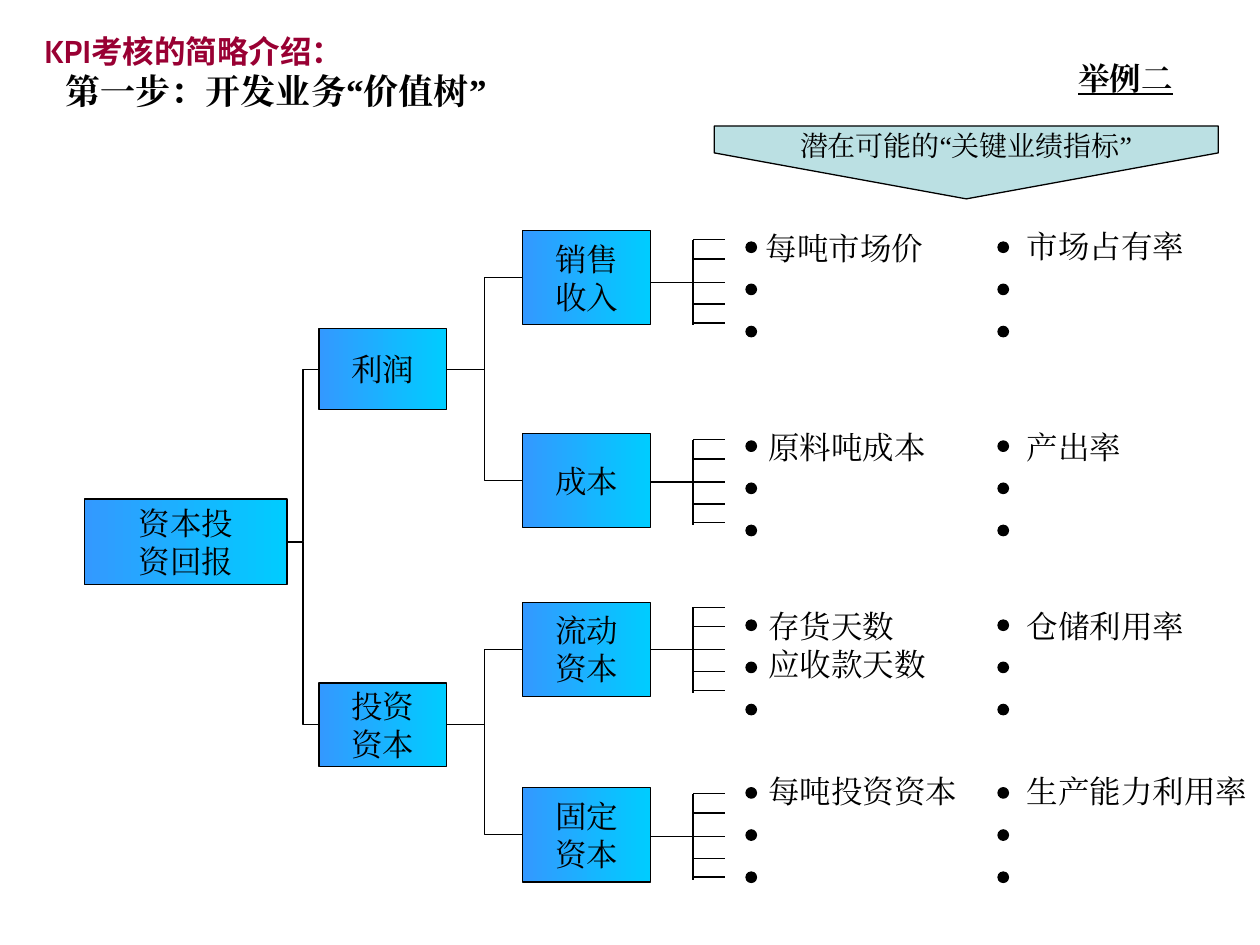
from dataclasses import dataclass

from lxml.etree import SubElement
from pptx import Presentation
from pptx.dml.color import RGBColor
from pptx.enum.shapes import MSO_CONNECTOR as Link, MSO_SHAPE as Form
from pptx.enum.text import MSO_ANCHOR as Anchor, MSO_AUTO_SIZE as Fit, PP_ALIGN as Align
from pptx.oxml.ns import qn
from pptx.util import Cm, Pt

COLORS = {"ink": "000000", "heading": "990033", "banner": "BBE0E3",
          "node_left": "3399FF", "node_right": "00CCFF"}
SERIF = "Times New Roman"
NODE_FRAME = {"word_wrap": False, "vertical_anchor": Anchor.MIDDLE}
LABEL_FRAME = {"word_wrap": False, "auto_size": Fit.SHAPE_TO_FIT_TEXT}
TITLE_FRAME = {"word_wrap": True, "auto_size": Fit.SHAPE_TO_FIT_TEXT,
               "vertical_anchor": Anchor.TOP}
TEETH = (0, 0.39, 0.86, 1.3, 1.68)
STEM_X, STEM_HEIGHT = 13.97, 1.73
DOT_COLUMNS = (15.04, 20.12)
DOT_STEP, DOT_SIZE = 0.85, 0.21


@dataclass
class Node:
    lines: tuple[str, ...]
    left: float
    top: float
    width: float
    height: float


@dataclass
class Measure:
    lines: tuple[str, ...]
    left: float
    top: float


@dataclass
class Branch:
    node: Node
    comb_top: float
    dot_top: float
    measures: tuple[Measure, ...]


def leaf(top: float, *lines: str) -> Node:
    return Node(lines, 10.54, top, 2.57, 1.9)


ROOT = Node(("资本投", "资回报"), 1.7, 10.06, 4.09, 1.73)
PROFIT = Node(("利润",), 6.43, 6.63, 2.57, 1.63)
CAPITAL = Node(("投资", "资本"), 6.43, 13.77, 2.57, 1.68)
PROFIT_BRANCHES = (
    Branch(leaf(4.65, "销售", "收入"), 4.83, 4.88,
           (Measure(("每吨市场价",), 15.19, 4.5), Measure(("市场占有率",), 20.45, 4.45))),
    Branch(leaf(8.74, "成本"), 8.86, 8.89,
           (Measure(("原料吨成本",), 15.24, 8.51), Measure(("产出率",), 20.45, 8.51))),
)
CAPITAL_BRANCHES = (
    Branch(leaf(12.14, "流动", "资本"), 12.24, 12.5,
           (Measure(("存货天数", "应收款天数"), 15.24, 12.12),
            Measure(("仓储利用率",), 20.45, 12.12))),
    Branch(leaf(15.88, "固定", "资本"), 16, 15.88,
           (Measure(("每吨投资资本",), 15.24, 15.44),
            Measure(("生产能力利用率",), 20.45, 15.44))),
)


def rgb(color: str) -> RGBColor:
    return RGBColor.from_string(COLORS[color])


def apply(target, values: dict) -> None:
    for attribute, value in values.items():
        setattr(target, attribute, value)


def add_run(paragraph, text: str, size: float = 18, face: str = SERIF,
            color: str = "ink", **extras) -> None:
    run = paragraph.add_run()
    run.text = text
    apply(run.font, {"size": Pt(size), "name": face, **extras})
    run.font.color.rgb = rgb(color)
    SubElement(run.font._element, qn("a:ea"), typeface=face)


def write(frame, lines: tuple[str, ...], layout: dict, align=Align.LEFT, **font) -> None:
    apply(frame, layout)
    for index, line in enumerate(lines):
        paragraph = frame.add_paragraph() if index else frame.paragraphs[0]
        paragraph.alignment = align
        add_run(paragraph, line, **font)


def outline(line) -> None:
    line.color.rgb = rgb("ink")
    line.width = Pt(0.75)


def add_form(shapes, form, left: float, top: float, width: float, height: float):
    shape = shapes.add_shape(form, Cm(left), Cm(top), Cm(width), Cm(height))
    shape.shadow.inherit = False
    outline(shape.line)
    return shape


def add_solid(shapes, form, color: str, *box: float):
    shape = add_form(shapes, form, *box)
    shape.fill.solid()
    shape.fill.fore_color.rgb = rgb(color)
    return shape


def add_label(shapes, lines: tuple[str, ...], *box: float, **font) -> None:
    label = shapes.add_textbox(*map(Cm, box))
    write(label.text_frame, lines, LABEL_FRAME, **font)


def add_node(shapes, node: Node):
    shape = add_form(shapes, Form.RECTANGLE, node.left, node.top, node.width, node.height)
    shape.fill.gradient()
    shape.fill.gradient_angle = 0
    for stop, color in zip(shape.fill.gradient_stops, ("node_left", "node_right")):
        stop.color.rgb = rgb(color)
    write(shape.text_frame, node.lines, NODE_FRAME, Align.CENTER)
    return shape


def add_line(shapes, kind, *ends: float):
    line = shapes.add_connector(kind, *map(Cm, ends))
    outline(line.line)
    SubElement(line._element.spPr, qn("a:effectLst"))
    return line


def join(shapes, parent, child) -> None:
    elbow = add_line(shapes, Link.ELBOW, 0, 0, 0, 0)
    elbow.begin_connect(parent, 3)
    elbow.end_connect(child, 1)


def add_comb(shapes, top: float) -> None:
    comb = shapes.add_group_shape().shapes
    middle = top + TEETH[2]
    add_line(comb, Link.STRAIGHT, 13.13, middle, STEM_X, middle)
    add_line(comb, Link.STRAIGHT, STEM_X, top, STEM_X, top + STEM_HEIGHT)
    for offset in TEETH:
        add_line(comb, Link.STRAIGHT, STEM_X, top + offset, 14.61, top + offset)


def add_branch(shapes, parent, branch: Branch) -> None:
    join(shapes, parent, add_node(shapes, branch.node))
    add_comb(shapes, branch.comb_top)
    for column in DOT_COLUMNS:
        for row in range(3):
            add_solid(shapes, Form.OVAL, "ink", column, branch.dot_top + row * DOT_STEP,
                      DOT_SIZE, DOT_SIZE)
    for measure in branch.measures:
        width = max(map(len, measure.lines)) * 0.635 + 0.51
        height = len(measure.lines) * 0.76 + 0.25
        add_label(shapes, measure.lines, measure.left, measure.top, width, height)


def add_headings(shapes) -> None:
    apply(shapes.title, {"left": Cm(1.07), "top": Cm(1.27),
                         "width": Cm(12.27), "height": Cm(1.12)})
    write(shapes.title.text_frame, ("第一步：开发业务“价值树”",), TITLE_FRAME,
          size=20, bold=True)
    topic = shapes.add_textbox(Cm(0.64), Cm(0.53), Cm(6.81), Cm(1.02)).text_frame
    apply(topic, LABEL_FRAME)
    for text, face in (("KPI", "Cabin"), ("考核的简略介绍：", "Noto Sans CJK SC")):
        add_run(topic.paragraphs[0], text, face=face, color="heading", bold=True)
    add_label(shapes, ("举例二",), 21.49, 1.07, 2.41, 1.02, bold=True, underline=True)
    banner = add_solid(shapes, Form.DOWN_ARROW, "banner", 14.4, 2.54, 10.16, 1.47)
    banner.adjustments[0] = 1
    banner.adjustments[1] = 0.63
    add_label(shapes, ("潜在可能的“关键业绩指标”",), 15.88, 2.46, 7.82, 0.94, size=16)


def main() -> None:
    deck = Presentation()
    apply(deck, {"slide_width": Cm(25.4), "slide_height": Cm(19.05)})
    shapes = deck.slides.add_slide(deck.slide_layouts[5]).shapes
    add_headings(shapes)
    root = add_node(shapes, ROOT)
    for driver, branches in ((PROFIT, PROFIT_BRANCHES), (CAPITAL, CAPITAL_BRANCHES)):
        parent = add_node(shapes, driver)
        join(shapes, root, parent)
        for branch in branches:
            add_branch(shapes, parent, branch)
    deck.save("out.pptx")


if __name__ == "__main__":
    main()
